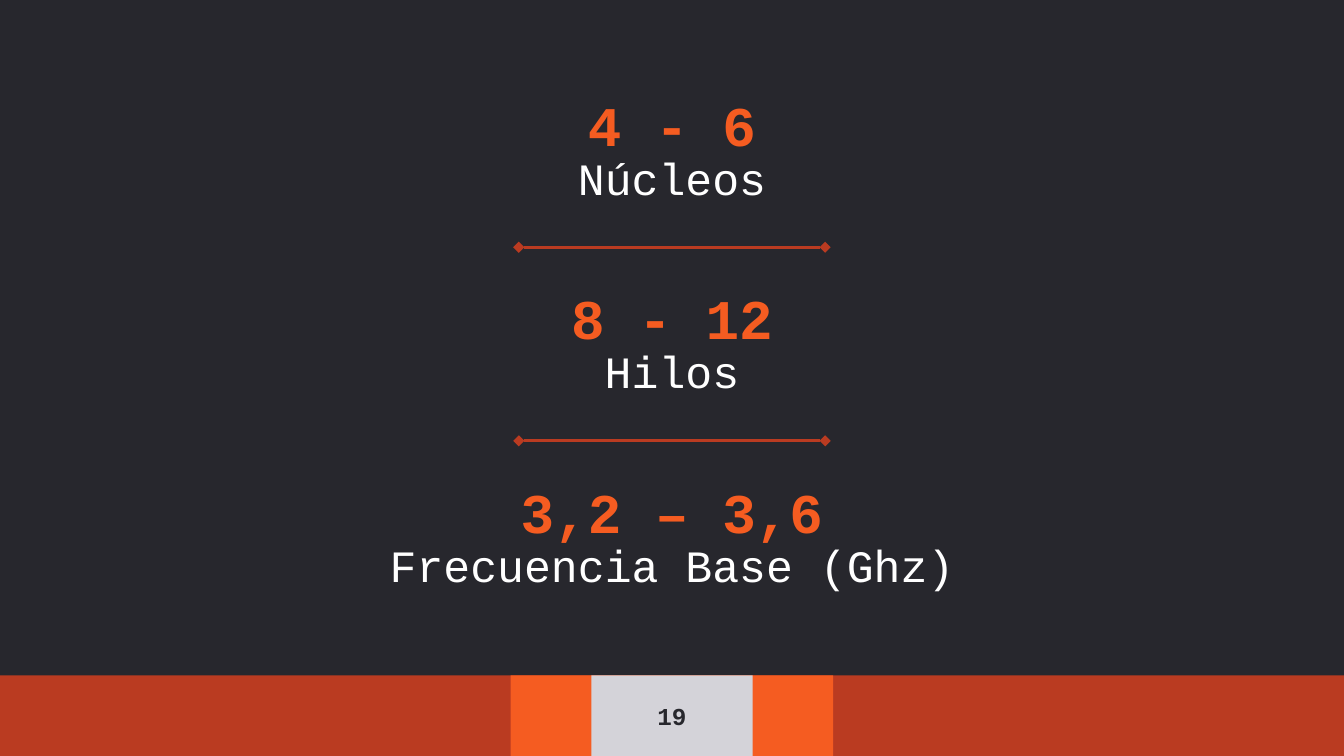
import pptx
import pptx.util
import pptx.dml.color
import pptx.enum.shapes
import pptx.enum.text
import pptx.oxml
import pptx.oxml.xmlchemy
from pptx.util import Inches

COLORS = {
    "background": "27272D",
    "brick": "BA3B21",
    "orange": "F55C21",
    "gray": "D4D3D9",
    "white": "FFFFFF",
}
FIGURES = [
    ("4 - 6", "Núcleos"),
    ("8 - 12", "Hilos"),
    ("3,2 – 3,6", "Frecuencia Base (Ghz)"),
]
SLIDE_WIDTH = 10
SLIDE_HEIGHT = SLIDE_WIDTH * 9 / 16
FOOTER_HEIGHT = 0.6
FOOTER_TOP = SLIDE_HEIGHT - FOOTER_HEIGHT
FIGURE_STEP = 1.44
TOP = pptx.enum.text.MSO_ANCHOR.TOP
MIDDLE = pptx.enum.text.MSO_ANCHOR.MIDDLE
BOTTOM = pptx.enum.text.MSO_ANCHOR.BOTTOM


def rgb(name):
    return pptx.dml.color.RGBColor.from_string(COLORS[name])


class SlideBuilder:
    """Holds the slide and its style; every element is centred across it."""

    font = "Courier New"

    def __init__(self, slide):
        self.slide = slide
        fill = slide.background.fill
        fill.solid()
        fill.fore_color.rgb = rgb("background")

    def band(self, width, color):
        shape = self.slide.shapes.add_shape(
            pptx.enum.shapes.MSO_SHAPE.RECTANGLE,
            Inches((SLIDE_WIDTH - width) / 2), Inches(FOOTER_TOP),
            Inches(width), Inches(FOOTER_HEIGHT))
        shape.shadow.inherit = False
        shape.fill.solid()
        shape.fill.fore_color.rgb = rgb(color)
        shape.line.fill.background()

    def text(self, text, top, width, height, size, color,
             anchor, bold=False, spacing=1.0):
        box = self.slide.shapes.add_textbox(
            Inches((SLIDE_WIDTH - width) / 2), Inches(top),
            Inches(width), Inches(height))
        frame = box.text_frame
        frame.word_wrap = True
        frame.vertical_anchor = anchor
        frame.margin_left = frame.margin_right = Inches(0.1)
        frame.margin_top = frame.margin_bottom = Inches(0.1)
        frame.text = text
        para = frame.paragraphs[0]
        para.alignment = pptx.enum.text.PP_ALIGN.CENTER
        para.line_spacing = spacing
        font = para.runs[0].font
        font.name = self.font
        font.size = pptx.util.Pt(size)
        font.bold = bold
        font.color.rgb = rgb(color)

    def divider(self, top, width):
        left = (SLIDE_WIDTH - width) / 2
        line = self.slide.shapes.add_connector(
            pptx.enum.shapes.MSO_CONNECTOR.STRAIGHT,
            Inches(left), Inches(top), Inches(left + width), Inches(top))
        line.line.color.rgb = rgb("brick")
        line.line.width = pptx.util.Pt(1.5)
        outline = line.line._get_or_add_ln()
        for end in ("a:headEnd", "a:tailEnd"):
            tip = pptx.oxml.xmlchemy.OxmlElement(end)
            tip.set("type", "diamond")
            outline.append(tip)
        line._element.spPr.append(
            pptx.oxml.xmlchemy.OxmlElement("a:effectLst"))


def main():
    deck = pptx.Presentation()
    deck.slide_width = Inches(SLIDE_WIDTH)
    deck.slide_height = Inches(SLIDE_HEIGHT)
    builder = SlideBuilder(deck.slides.add_slide(deck.slide_layouts[6]))

    for width, color in ((SLIDE_WIDTH, "brick"), (2.4, "orange"), (1.2, "gray")):
        builder.band(width, color)

    for index, (value, label) in enumerate(FIGURES):
        offset = index * FIGURE_STEP
        builder.text(value, 0.29 + offset, 8.5, 0.98, 30, "orange",
                     BOTTOM, bold=True)
        builder.text(label, 0.96 + offset, 8.5, 0.51, 24, "white",
                     TOP, spacing=1.15)
        if index < len(FIGURES) - 1:
            builder.divider(1.84 + offset, 2.28)

    builder.text("19", FOOTER_TOP, 1.2, FOOTER_HEIGHT, 13, "background",
                 MIDDLE, bold=True)
    deck.save("out.pptx")


if __name__ == "__main__":
    main()
